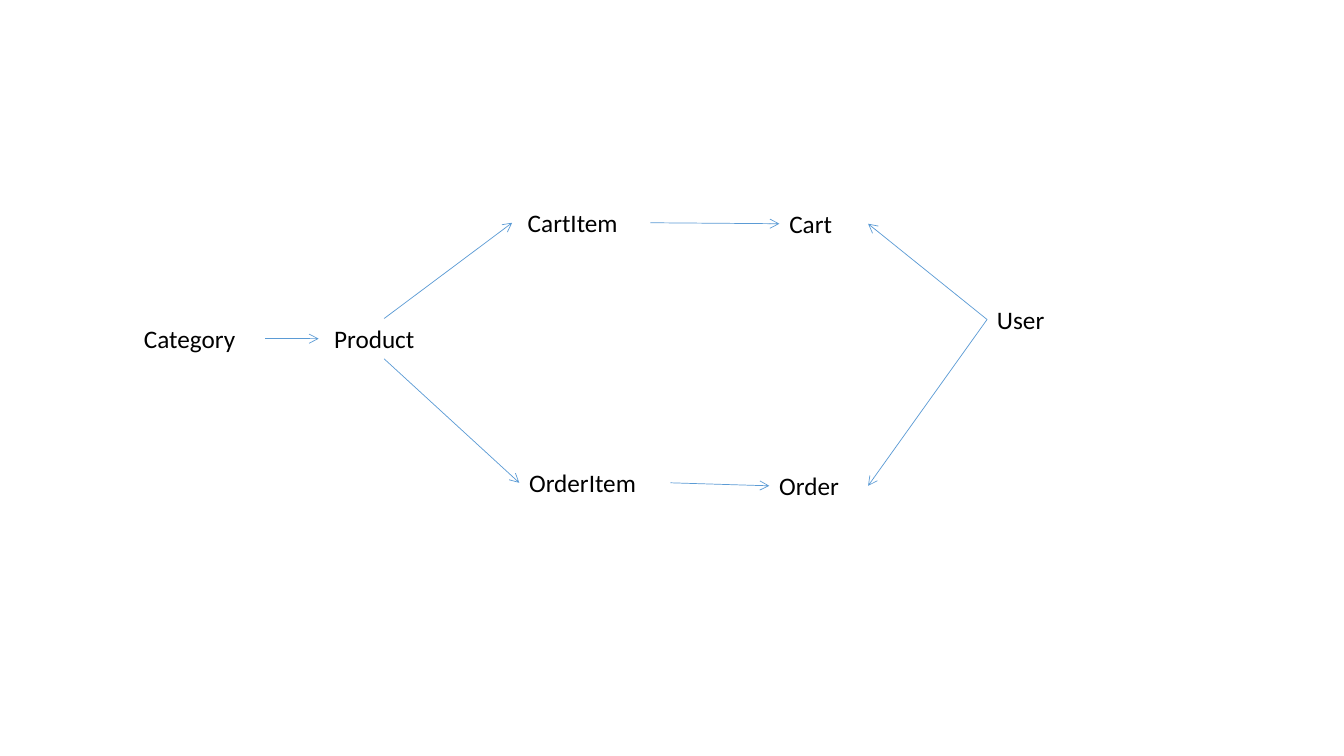
from pptx import Presentation
from pptx.dml.color import RGBColor
from pptx.enum.shapes import MSO_CONNECTOR
from pptx.enum.text import MSO_AUTO_SIZE
from pptx.oxml.ns import qn
from pptx.util import Inches, Pt
from lxml.etree import SubElement

# Content: entity -> (text, left, top, width) in inches
ENTITIES = {
    "category": ("Category", 1.33, 3.16, 1.3),
    "product": (" Product", 3.16, 3.16, 1.3),
    "cart_item": (" CartItem", 5.08, 2.01, 1.37),
    "order_item": ("OrderItem", 5.15, 4.59, 1.5),
    "cart": ("Cart", 7.73, 2.02, 0.88),
    "order": ("Order", 7.63, 4.62, 0.98),
    "user": ("User", 9.79, 2.97, 1.3),
}
ENTITY_HEIGHT = 0.4

# Connection sites of a box
TOP, LEFT, BOTTOM, RIGHT = range(4)

# Relations: source, side it leaves, target, side it reaches
RELATIONS = [
    ("category", RIGHT, "product", LEFT),
    ("product", TOP, "cart_item", LEFT),
    ("product", BOTTOM, "order_item", LEFT),
    ("cart_item", RIGHT, "cart", LEFT),
    ("order_item", RIGHT, "order", LEFT),
    ("user", LEFT, "cart", RIGHT),
    ("user", LEFT, "order", RIGHT),
]


def color(hex_value):
    return RGBColor.from_string(hex_value)


def add_label(slide, text, left, top, width, height=ENTITY_HEIGHT,
              size=18, font="Calibri", fill="000000"):
    label = slide.shapes.add_textbox(
        Inches(left), Inches(top), Inches(width), Inches(height))
    frame = label.text_frame
    frame.word_wrap = True
    frame.auto_size = MSO_AUTO_SIZE.SHAPE_TO_FIT_TEXT
    run = frame.paragraphs[0].add_run()
    run.text = text
    run.font.size = Pt(size)
    run.font.name = font
    run.font.color.rgb = color(fill)
    return label


def add_arrow(slide, source, source_side, target, target_side):
    arrow = slide.shapes.add_connector(MSO_CONNECTOR.STRAIGHT, 0, 0, 0, 0)
    arrow.begin_connect(source, source_side)
    arrow.end_connect(target, target_side)
    arrow.line.color.rgb = color("5B9BD5")
    arrow.line.width = Pt(0.5)
    # Open arrowhead, no shadow
    SubElement(arrow.line._get_or_add_ln(), qn("a:tailEnd"), type="arrow")
    SubElement(arrow._element.spPr, qn("a:effectLst"))


def main():
    deck = Presentation()
    deck.slide_width, deck.slide_height = Inches(13.33), Inches(7.5)
    slide = deck.slides.add_slide(deck.slide_layouts[6])

    # Entity names
    labels = {key: add_label(slide, *entity) for key, entity in ENTITIES.items()}

    # Arrows between them
    for source, source_side, target, target_side in RELATIONS:
        add_arrow(slide, labels[source], source_side, labels[target], target_side)

    deck.save("out.pptx")


if __name__ == "__main__":
    main()
